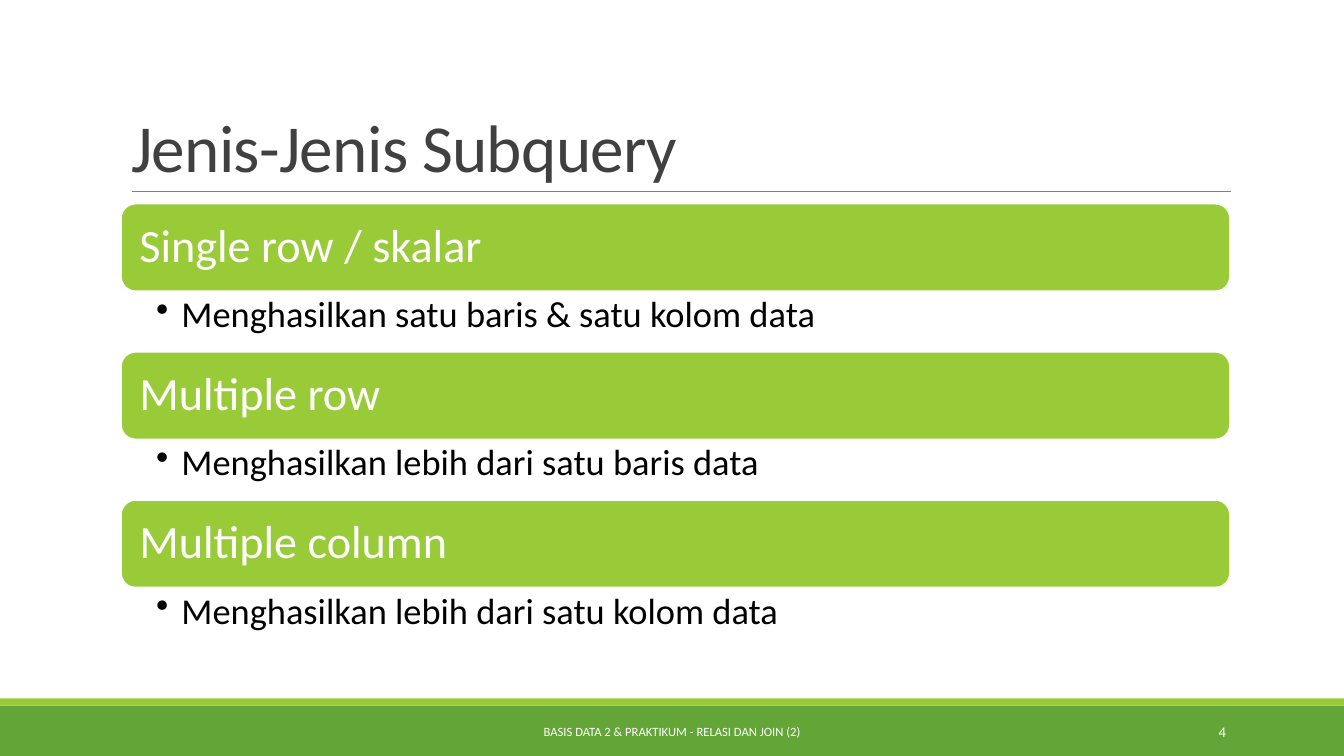
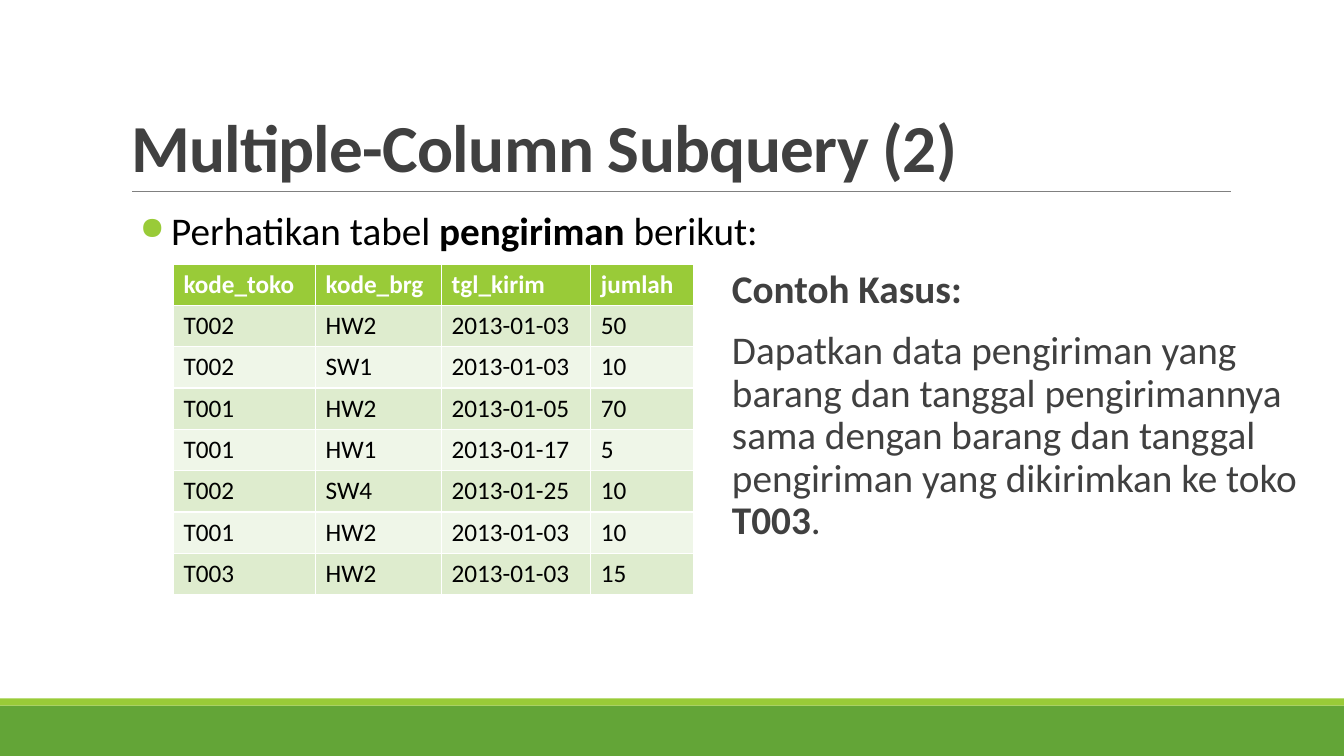
from lxml.etree import SubElement
from pptx import Presentation
from pptx.dml.color import RGBColor
from pptx.enum.shapes import MSO_CONNECTOR as Connector, MSO_SHAPE as Shape
from pptx.enum.text import MSO_ANCHOR as Anchor, MSO_AUTO_SIZE as AutoSize, PP_ALIGN as Align
from pptx.oxml.ns import qn
from pptx.util import Inches, Pt

WHITE = RGBColor(0xFF, 0xFF, 0xFF)
BLACK = RGBColor(0x00, 0x00, 0x00)
INK = RGBColor(0x40, 0x40, 0x40)
RULE_GRAY = RGBColor(0x80, 0x80, 0x80)
GREEN = RGBColor(0x63, 0xA5, 0x37)
LIME = RGBColor(0x99, 0xCB, 0x38)
STRIPES = RGBColor(0xDE, 0xEC, 0xCE), RGBColor(0xEF, 0xF6, 0xE8)

FONT = "Calibri"
WIDTH, HEIGHT = 13.33, 7.5
TITLE_ONLY, TITLE_AND_BODY = 5, 1


class Deck:
    def __init__(self):
        self.presentation = Presentation()
        self.presentation.slide_width = Inches(WIDTH)
        self.presentation.slide_height = Inches(HEIGHT)
        self.slide = None

    def new_slide(self, layout, title, bold=False):
        self.slide = self.presentation.slides.add_slide(
            self.presentation.slide_layouts[layout])
        self.block(Shape.RECTANGLE, 0, 7, WIDTH, 0.5, GREEN)
        self.block(Shape.RECTANGLE, 0, 6.93, WIDTH, 0.07, LIME)
        self.rule(1.31, 1.9, 12.21)
        heading = self.slide.shapes.title
        self.place(heading, 1.2, 0.31, 11, 1.59)
        frame = self.frame(heading, Anchor.BOTTOM)
        paragraph = self.fill_text(frame.paragraphs[0], [title], 48, INK, bold,
                                   align=Align.LEFT, line_spacing=0.85)
        paragraph.font._element.set("spc", "-50")

    def place(self, shape, left, top, width, height):
        shape.left, shape.top = Inches(left), Inches(top)
        shape.width, shape.height = Inches(width), Inches(height)

    def frame(self, shape, anchor=Anchor.TOP, sides=(0.1, 0.1), ends=0.05):
        frame = shape.text_frame
        frame.word_wrap = True
        frame.auto_size = AutoSize.NONE
        frame.vertical_anchor = anchor
        frame.margin_left, frame.margin_right = map(Inches, sides)
        frame.margin_top = frame.margin_bottom = Inches(ends)
        return frame

    def fill_text(self, paragraph, texts, size, color, bold=False, align=None,
                  line_spacing=None, before=None, after=None):
        for position, text in enumerate(texts):
            run = paragraph.add_run()
            run.text = text
            if len(texts) > 1:
                run.font.bold = position % 2 == 1
        font = paragraph.font
        font.name, font.size = FONT, Pt(size)
        font.color.rgb = color
        if len(texts) == 1:
            font.bold = bold
        paragraph.alignment = align
        paragraph.line_spacing = line_spacing
        if before is not None:
            paragraph.space_before = Pt(before)
        if after is not None:
            paragraph.space_after = Pt(after)
        return paragraph

    def bullet(self, paragraph, margin, indent, mark=None, color=None, percent=100):
        properties = paragraph._p.get_or_add_pPr()
        properties.set("marL", str(Inches(margin)))
        properties.set("indent", str(Inches(indent)))
        if mark is None:
            SubElement(properties, qn("a:buNone"))
            return
        if color is not None:
            tint = SubElement(properties, qn("a:buClr"))
            SubElement(tint, qn("a:srgbClr"), val=str(color))
        SubElement(properties, qn("a:buSzPct"), val=str(percent * 1000))
        SubElement(properties, qn("a:buChar"), char=mark)

    def block(self, kind, left, top, width, height, fill):
        block = self.slide.shapes.add_shape(
            kind, Inches(left), Inches(top), Inches(width), Inches(height))
        block.shadow.inherit = False
        block.fill.solid()
        block.fill.fore_color.rgb = fill
        block.line.fill.background()
        return block

    def rule(self, left, top, right):
        rule = self.slide.shapes.add_connector(
            Connector.STRAIGHT, Inches(left), Inches(top), Inches(right), Inches(top))
        rule.line.color.rgb = RULE_GRAY
        rule.line.width = Pt(0.5)
        SubElement(rule._element.spPr, qn("a:effectLst"))

    def text_box(self, left, top, width, height, **layout):
        box = self.slide.shapes.add_textbox(
            Inches(left), Inches(top), Inches(width), Inches(height))
        return self.frame(box, **layout).paragraphs[0]

    def footer(self, text, number):
        label = self.text_box(4.03, 7.06, 5.27, 0.4, anchor=Anchor.MIDDLE)
        self.fill_text(label, [text], 9, WHITE, align=Align.CENTER)
        page = self.text_box(10.83, 7.06, 1.43, 0.4, anchor=Anchor.MIDDLE)
        self.fill_text(page, [number], 10.5, WHITE, align=Align.RIGHT)

    def topic(self, top, name, detail):
        bar_height = 0.87
        bar = self.block(Shape.ROUNDED_RECTANGLE, 1.2, top, 11, bar_height, LIME)
        bar.line.color.rgb = WHITE
        bar.line.width = Pt(1.25)
        frame = self.frame(bar, Anchor.MIDDLE, sides=(0.14, 0.14))
        self.fill_text(frame.paragraphs[0], [name], 33, WHITE,
                       align=Align.LEFT, line_spacing=0.9)
        line = self.text_box(1.2, top + bar_height, 11, 0.6, sides=(0.35, 0.26))
        self.bullet(line, 0.25, -0.25, "•")
        self.fill_text(line, [detail], 26, BLACK, line_spacing=0.9)

    def lead(self, texts):
        line = self.text_box(1.2, 2, 8.2, 0.63)
        self.bullet(line, 0.4, -0.31, "●", LIME, 80)
        self.fill_text(line, texts, 28, BLACK, before=6)

    def body(self, heading, texts):
        body = self.slide.placeholders[1]
        self.place(body, 7.16, 2.62, 5.72, 4.14)
        frame = self.frame(body, sides=(0, 0))
        for paragraph, content in ((frame.paragraphs[0], [heading]),
                                   (frame.add_paragraph(), texts)):
            self.bullet(paragraph, 0.1, 0)
            self.fill_text(paragraph, content, 28, INK, bold=True,
                           line_spacing=0.9, before=12, after=2)

    def table(self, left, top, widths, row_height, rows):
        table = self.slide.shapes.add_table(
            len(rows), len(widths), Inches(left), Inches(top),
            Inches(sum(widths)), Inches(row_height * len(rows))).table
        for column, width in zip(table.columns, widths):
            column.width = Inches(width)
        for index, values in enumerate(rows):
            header = index == 0
            for cell, value in zip(table.rows[index].cells, values):
                cell.fill.solid()
                cell.fill.fore_color.rgb = LIME if header else STRIPES[(index - 1) % 2]
                self.fill_text(cell.text_frame.paragraphs[0], [value], 18,
                               WHITE if header else BLACK, bold=header)


def main():
    deck = Deck()

    deck.new_slide(TITLE_ONLY, "Jenis-Jenis Subquery")
    topics = (
        ("Single row / skalar", "Menghasilkan satu baris & satu kolom data"),
        ("Multiple row", "Menghasilkan lebih dari satu baris data"),
        ("Multiple column", "Menghasilkan lebih dari satu kolom data"),
    )
    for index, (name, detail) in enumerate(topics):
        deck.topic(2.02 + 1.47 * index, name, detail)
    deck.footer("BASIS DATA 2 & PRAKTIKUM - RELASI DAN JOIN (2)", "4")

    deck.new_slide(TITLE_AND_BODY, "Multiple-Column Subquery (2)", bold=True)
    deck.body("Contoh Kasus:", [
        "Dapatkan data pengiriman yang barang dan tanggal pengirimannya sama "
        "dengan barang dan tanggal pengiriman yang dikirimkan ke toko ",
        "T003", "."])
    deck.lead(["Perhatikan tabel ", "pengiriman ", "berikut:"])
    deck.table(1.72, 2.62, (1.41, 1.25, 1.48, 1.02), 0.41, (
        ("kode_toko", "kode_brg", "tgl_kirim", "jumlah"),
        ("T002", "HW2", "2013-01-03", "50"),
        ("T002", "SW1", "2013-01-03", "10"),
        ("T001", "HW2", "2013-01-05", "70"),
        ("T001", "HW1", "2013-01-17", "5"),
        ("T002", "SW4", "2013-01-25", "10"),
        ("T001", "HW2", "2013-01-03", "10"),
        ("T003", "HW2", "2013-01-03", "15"),
    ))

    deck.presentation.save("out.pptx")


if __name__ == "__main__":
    main()
